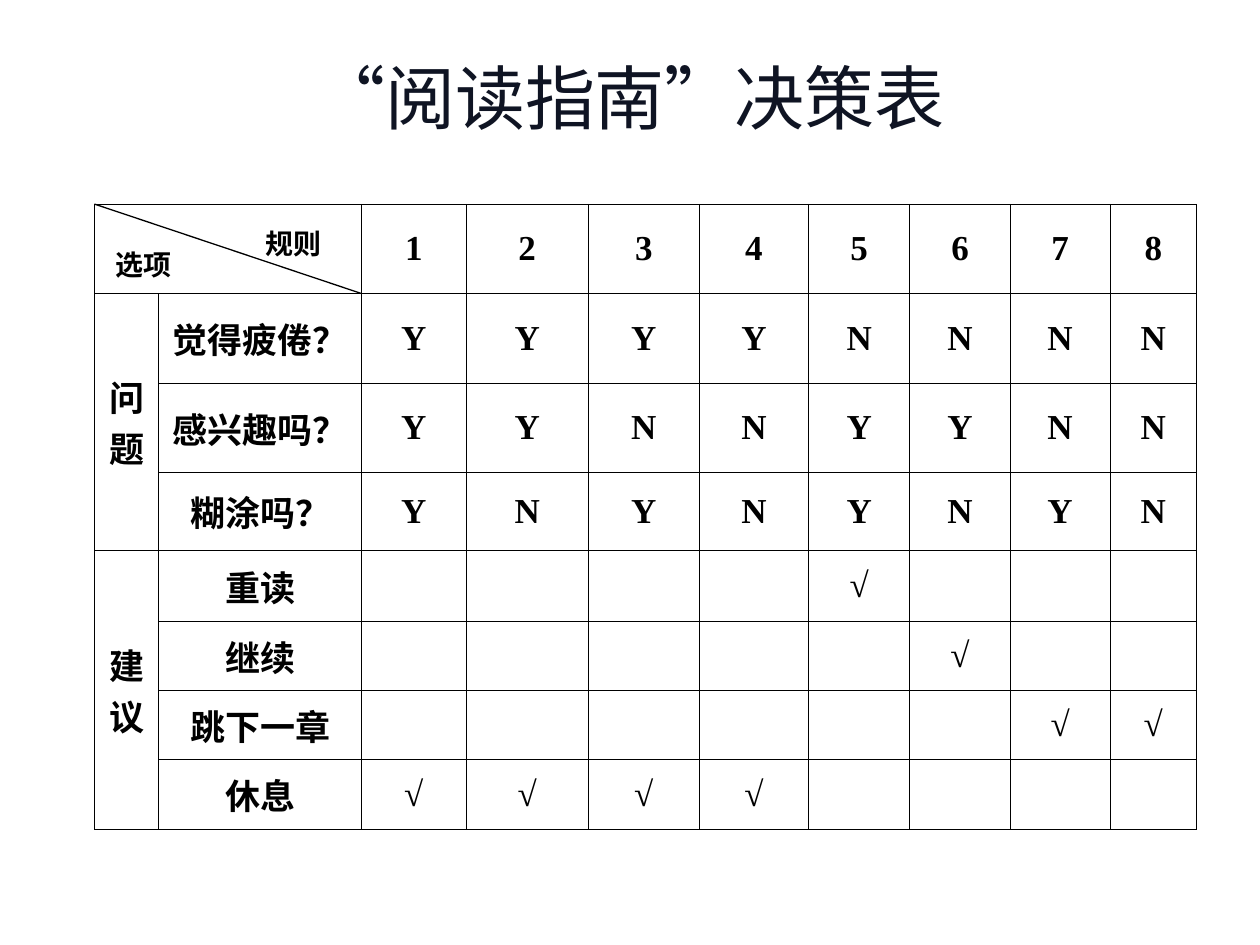
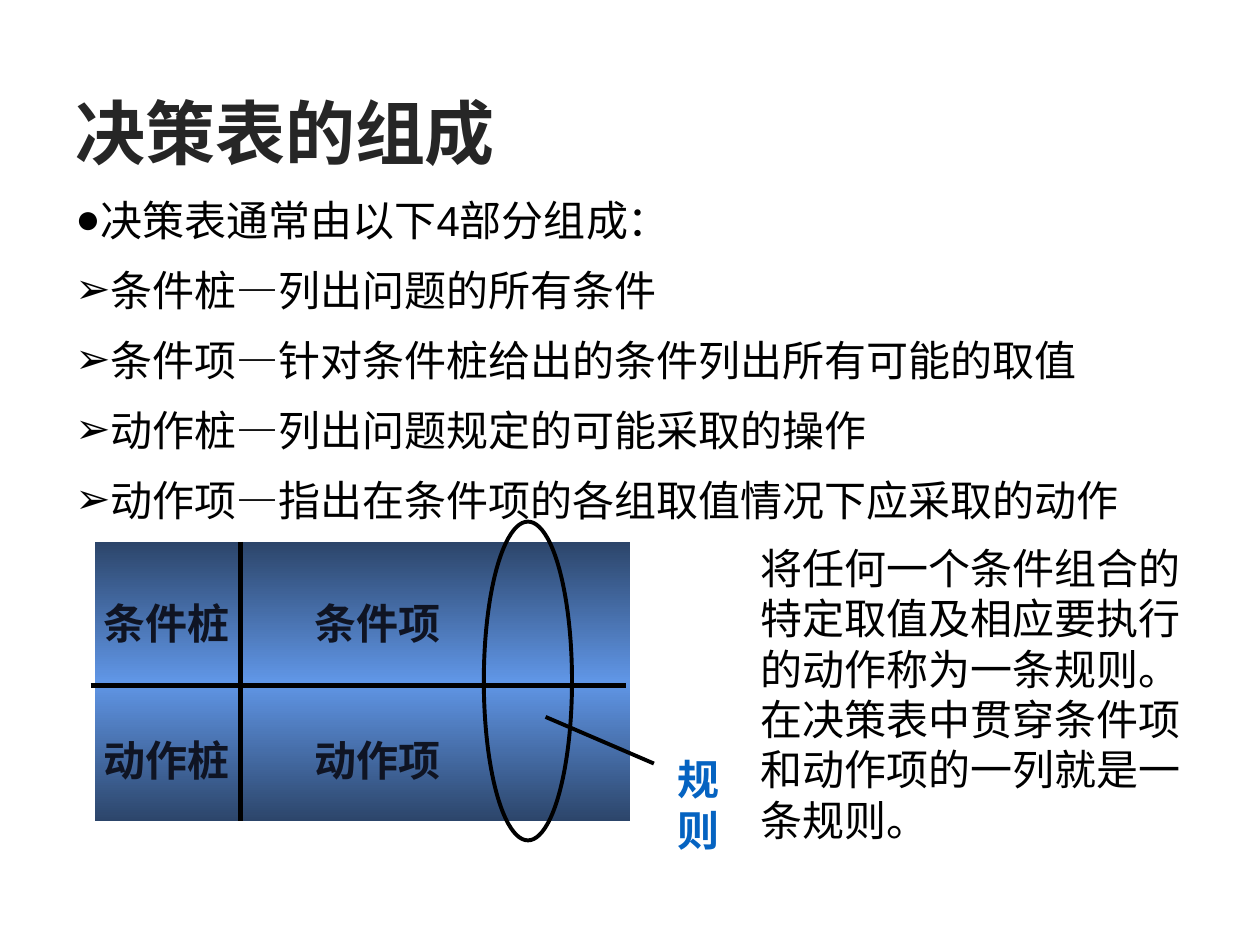
from dataclasses import dataclass
from itertools import accumulate, groupby
from typing import Any

import pptx
import pptx.dml.color
import pptx.enum.shapes
import pptx.enum.text
import pptx.oxml
import pptx.oxml.ns
import pptx.util
from lxml import etree

Inches = pptx.util.Inches
Pt = pptx.util.Pt
qn = pptx.oxml.ns.qn
Align = pptx.enum.text.PP_ALIGN
Anchor = pptx.enum.text.MSO_ANCHOR

INK = {
    "black": "000000",
    "navy": "0F1423",
    "gray": "262626",
    "link": "0563C1",
    "deep": "2C456A",
    "sky": "6096E6",
}
SANS, SERIF = "Arial", "Times New Roman"
HAN, HAN_KR = "Noto Sans CJK SC", "Noto Sans CJK KR"
SNUG = 1.2


@dataclass
class Label:
    text: str
    left: float
    top: float
    width: float
    height: float
    color: str = "navy"


@dataclass
class Line:
    x1: float
    y1: float
    x2: float
    y2: float
    weight: float


def paint(name: str) -> pptx.dml.color.RGBColor:
    return pptx.dml.color.RGBColor.from_string(INK[name])


def mark(para: Any, sign: str, indent: float) -> None:
    props = para._p.get_or_add_pPr()
    props.set("marL", str(Inches(indent)))
    props.set("indent", str(-Inches(indent)))
    tint = etree.SubElement(props, qn("a:buClr"))
    etree.SubElement(tint, qn("a:srgbClr"), val=INK["black"])
    etree.SubElement(props, qn("a:buFont"), typeface=SANS)
    etree.SubElement(props, qn("a:buChar"), char=sign)


def write(frame: Any, text: str, *, size: float, color: str = "black",
          bold: bool = False, font: str = SANS, han: str = HAN,
          align: Any = Align.LEFT, lead: float = 0, after: float = 0,
          signs: str = "", indent: float = 0) -> None:
    for row, words in enumerate(text.split("\n")):
        para = frame.add_paragraph() if row else frame.paragraphs[0]
        para.alignment = align
        if lead:
            para.line_spacing = Pt(size * lead)
        para.space_after = Pt(after)
        if signs:
            mark(para, signs[row], indent)
        for quote, chars in groupby(words, lambda char: char in "“”"):
            run = para.add_run()
            run.text = "".join(chars)
            run.font.size = Pt(size)
            run.font.bold = bold
            run.font.color.rgb = paint(color)
            run.font.name = font
            props = run._r.get_or_add_rPr()
            props.set("lang", "zh-CN")
            etree.SubElement(props, qn("a:ea"), typeface=HAN if quote else han)


def place(slide: Any, label: Label, *, size: float, side: float = 0.1,
          pad: float = 0.05, lead: float = 0, anchor: Any = Anchor.TOP,
          **style: Any) -> None:
    box = slide.shapes.add_textbox(Inches(label.left), Inches(label.top),
                                   Inches(label.width), Inches(label.height))
    frame = box.text_frame
    frame.word_wrap = True
    frame.vertical_anchor = anchor
    frame.margin_left = frame.margin_right = Inches(side)
    frame.margin_top = Inches(pad) + (Pt(size * 0.1) if lead else 0)
    frame.margin_bottom = Inches(pad)
    write(frame, label.text, size=size, color=label.color, lead=lead, **style)


def draw(slide: Any, line: Line) -> None:
    link = slide.shapes.add_connector(
        pptx.enum.shapes.MSO_CONNECTOR.STRAIGHT,
        Inches(line.x1), Inches(line.y1), Inches(line.x2), Inches(line.y2))
    link.line.color.rgb = paint("black")
    link.line.width = Pt(line.weight)
    etree.SubElement(link._element.spPr, qn("a:effectLst"))


def frame_cell(cell: Any) -> None:
    props = cell._tc.get_or_add_tcPr()
    for side in ("lnL", "lnR", "lnT", "lnB"):
        edge = etree.SubElement(props, qn(f"a:{side}"), w=str(Pt(0.45)))
        fill = etree.SubElement(edge, qn("a:solidFill"))
        etree.SubElement(fill, qn("a:srgbClr"), val=INK["black"])
    cell.fill.background()
    cell.vertical_anchor = Anchor.MIDDLE


def add_grid(slide: Any) -> None:
    left, top = 0.75, 1.62
    widths = [0.51, 1.61, 0.83, 0.97, 0.88, 0.87, 0.8, 0.8, 0.79, 0.69]
    heights = [0.71, 0.71, 0.71, 0.62, 0.56, 0.55, 0.55, 0.55]
    rules = [
        ("", "12345678"),
        ("觉得疲倦？", "YYYYNNNN"),
        ("感兴趣吗？", "YYNNYYNN"),
        ("糊涂吗？", "YNYNYNYN"),
        ("重读", "    √   "),
        ("继续", "     √  "),
        ("跳下一章", "      √√"),
        ("休息", "√√√√    "),
    ]
    heads = {1: "问题", 4: "建议"}
    draw(slide, Line(left, top, left + sum(widths[:2]), top + heights[0], 0.75))
    for label in (Label("规则", 2.09, 1.78, 0.63, 0.16, "black"),
                  Label("选项", 0.9, 1.94, 0.63, 0.16, "black")):
        place(slide, label, size=16, side=0.02, pad=0, lead=SNUG,
              bold=True, font=HAN)
    grid = slide.shapes.add_table(
        len(heights), len(widths), Inches(left), Inches(top),
        Inches(sum(widths)), Inches(sum(heights))).table
    grid.first_row = grid.horz_banding = False
    for col, width in zip(grid.columns, widths):
        col.width = Inches(width)
    for row, height in zip(grid.rows, heights):
        row.height = Inches(height)
    for y, (name, marks) in enumerate(rules):
        for x, text in enumerate([heads.get(y, ""), name, *marks]):
            cell = grid.cell(y, x)
            frame_cell(cell)
            if text.strip():
                write(cell.text_frame, text, size=20, bold=True, font=SERIF,
                      align=Align.CENTER)
    for start, end in (((0, 0), (0, 1)), ((1, 0), (3, 0)), ((4, 0), (7, 0))):
        grid.cell(*start).merge(grid.cell(*end))


def add_panel(slide: Any) -> None:
    panel = slide.shapes.add_shape(
        pptx.enum.shapes.MSO_SHAPE.RECTANGLE,
        Inches(0.75), Inches(4.3), Inches(4.25), Inches(2.22))
    panel.shadow.inherit = False
    panel.line.fill.background()
    panel.fill.gradient()
    panel.fill.gradient_angle = 270
    stops = panel._element.spPr.find(qn("a:gradFill")).find(qn("a:gsLst"))
    for stop in list(stops):
        stops.remove(stop)
    for pos, name in ((0, "deep"), (50, "sky"), (100, "deep")):
        stop = etree.SubElement(stops, qn("a:gs"), pos=str(pos * 1000))
        etree.SubElement(stop, qn("a:srgbClr"), val=INK[name])

    draw(slide, Line(1.91, 4.3, 1.91, 6.52, 3))
    draw(slide, Line(0.72, 5.44, 4.97, 5.44, 3))
    labels = [Label(kind + part, left, top, width, 0.5)
              for kind, top in (("条件", 4.66), ("动作", 5.75))
              for part, left, width in (("桩", 0.67, 1.3), ("项", 2.27, 1.46))]
    labels.append(Label("规则", 5.14, 5.9, 0.81, 0.9, "link"))
    for label in labels:
        place(slide, label, size=24, bold=True, font=SERIF, lead=SNUG,
              align=Align.CENTER)

    ring = slide.shapes.add_shape(
        pptx.enum.shapes.MSO_SHAPE.OVAL,
        Inches(3.84), Inches(4.14), Inches(0.7), Inches(2.53))
    ring.shadow.inherit = False
    ring.fill.background()
    ring.line.color.rgb = paint("black")
    ring.line.width = Pt(2.25)
    draw(slide, Line(4.33, 5.69, 5.19, 6.06, 2.25))


def add_guide(slide: Any) -> None:
    add_grid(slide)
    place(slide, Label("“阅读指南”决策表", 0.25, 0.33, 9.5, 0.75),
          size=40, side=0.04, lead=SNUG, han=HAN_KR, align=Align.CENTER)


def add_parts(slide: Any) -> None:
    place(slide, Label("决策表的组成", 0.5, 0.66, 9, 0.77, "gray"),
          size=40, bold=True, font=HAN, anchor=Anchor.MIDDLE)
    points = [
        "决策表通常由以下4部分组成：",
        "条件桩—列出问题的所有条件",
        "条件项—针对条件桩给出的条件列出所有可能的取值",
        "动作桩—列出问题规定的可能采取的操作",
        "动作项—指出在条件项的各组取值情况下应采取的动作",
    ]
    place(slide, Label("\n".join(points), 0.5, 1.44, 9, 5.21, "black"),
          size=24, lead=1.25, after=10, signs="●➢➢➢➢", indent=0.19)
    add_panel(slide)
    note = ("将任何一个条件组合的特定取值及相应要执行的动作称为一条规则。"
            "在决策表中贯穿条件项和动作项的一列就是一条规则。")
    place(slide, Label(note, 5.94, 4.22, 3.63, 2.5, "black"),
          size=24, lead=SNUG)


def main() -> None:
    deck = pptx.Presentation()
    deck.slide_width, deck.slide_height = Inches(10), Inches(7.5)
    for build in (add_guide, add_parts):
        build(deck.slides.add_slide(deck.slide_layouts[6]))
    deck.save("out.pptx")


if __name__ == "__main__":
    main()
